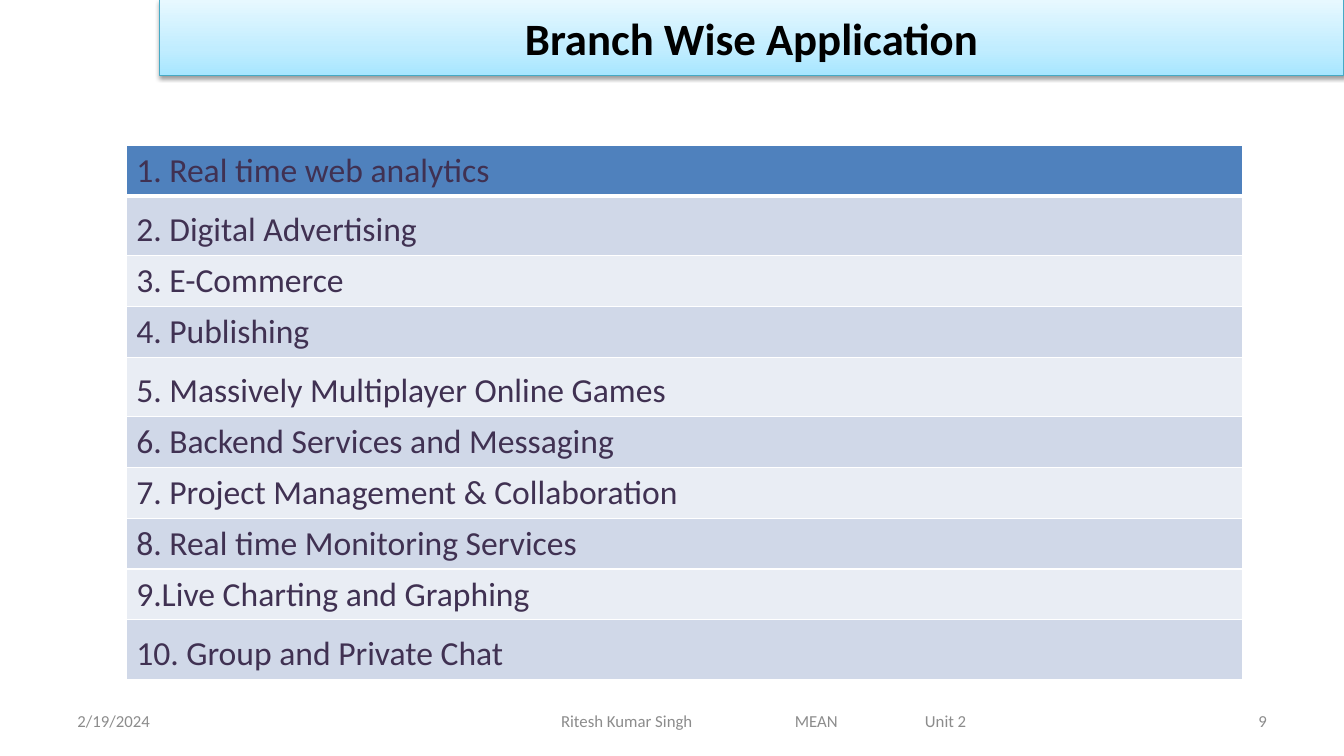
"""Builds the slide listing the branch wise applications."""
from copy import deepcopy

from pptx import Presentation
from pptx.dml.color import RGBColor
from pptx.enum.shapes import MSO_SHAPE
from pptx.enum.text import MSO_ANCHOR, PP_ALIGN
from pptx.oxml import parse_xml
from pptx.oxml.ns import nsdecls, qn
from pptx.util import Cm, Pt


def color(value):
    return RGBColor.from_string(value)


def style(paragraph, size, value, bold=False, align=PP_ALIGN.LEFT):
    paragraph.alignment = align
    paragraph.font.name = "Calibri"
    paragraph.font.size = Pt(size)
    paragraph.font.bold = bold
    paragraph.font.color.rgb = color(value)


deck = Presentation()
deck.slide_width, deck.slide_height = Cm(33.87), Cm(19.05)
page = deck.slides.add_slide(deck.slide_layouts[6])

footers = [
    ("2/19/2024", 1.7, 7.9, 0.25, PP_ALIGN.LEFT, []),
    ("Ritesh Kumar Singh\tMEAN\tUnit 2", 8.26, 22.02, 5.88, PP_ALIGN.LEFT, [5.89, 9.17]),
    ("9", 24.28, 7.9, 0.25, PP_ALIGN.RIGHT, []),
]
for text, left, width, inset, align, stops in footers:
    box = page.shapes.add_textbox(Cm(left), Cm(17.65), Cm(width), Cm(1.02))
    frame = box.text_frame
    frame.word_wrap = True
    frame.vertical_anchor = MSO_ANCHOR.MIDDLE
    frame.margin_left = Cm(inset)
    paragraph = frame.paragraphs[0]
    paragraph.text = text
    if stops:
        tabs = "".join(f'<a:tab pos="{Cm(stop)}" algn="l"/>' for stop in stops)
        paragraph._p.get_or_add_pPr().append(
            parse_xml(f'<a:tabLst {nsdecls("a")}>{tabs}</a:tabLst>'))
    style(paragraph, 12, "8C8C8C", align=align)

banner = page.shapes.add_shape(MSO_SHAPE.RECTANGLE, Cm(4.02), Cm(0), Cm(29.85), Cm(1.9))
banner.line.color.rgb = color("46AAC5")
banner.line.width = Pt(0.75)
banner.fill.gradient()
banner.fill.gradient_angle = 90
first_stop = banner.fill.gradient_stops[0]._gs
first_stop.addnext(deepcopy(first_stop))
shades = [(0, "A7E6FF"), (0.35, "C1EDFF"), (1, "E7F8FF")]
for stop, (position, value) in zip(banner.fill.gradient_stops, shades):
    stop.position = position
    stop.color.rgb = color(value)
banner.shadow.inherit = False
banner._element.spPr.find(qn("a:effectLst")).append(parse_xml(
    f'<a:outerShdw {nsdecls("a")} blurRad="{Pt(3.1)}" dist="{Pt(1.6)}" dir="5400000" '
    'rotWithShape="0"><a:srgbClr val="000000"><a:alpha val="38000"/></a:srgbClr></a:outerShdw>'))
banner.text_frame.vertical_anchor = MSO_ANCHOR.MIDDLE
title = banner.text_frame.paragraphs[0]
title.text = "Branch Wise Application"
style(title, 32, "000000", bold=True, align=PP_ALIGN.CENTER)

applications = [
    "1. Real time web analytics",
    "2. Digital Advertising",
    "3. E-Commerce",
    "4. Publishing",
    "5. Massively Multiplayer Online Games",
    "6. Backend Services and Messaging",
    "7. Project Management & Collaboration",
    "8. Real time Monitoring Services",
    "9.Live Charting and Graphing",
    "10. Group and Private Chat",
]
loose_rows = {1, 4, 9}
table = page.shapes.add_table(
    len(applications), 1, Cm(3.18), Cm(3.66), Cm(28.14), Cm(13.46)).table
for index, application in enumerate(applications):
    table.rows[index].height = Cm(1.5 if index in loose_rows else 1.28)
    cell = table.cell(index, 0)
    paragraph = cell.text_frame.paragraphs[0]
    paragraph.text = application
    style(paragraph, 24, "403152")
    if index in loose_rows:
        paragraph.line_spacing = 1.2
    for side in "LRTB":
        thick = (index, side) in [(0, "B"), (1, "T")]
        cell._tc.get_or_add_tcPr().append(parse_xml(
            f'<a:ln{side} {nsdecls("a")} w="{Pt(3 if thick else 1)}"><a:solidFill>'
            f'<a:srgbClr val="FFFFFF"/></a:solidFill></a:ln{side}>'))
    cell.fill.solid()
    band = "D0D8E8" if index % 2 else "E9EDF4"
    cell.fill.fore_color.rgb = color(band if index else "4F81BD")

deck.save("out.pptx")
